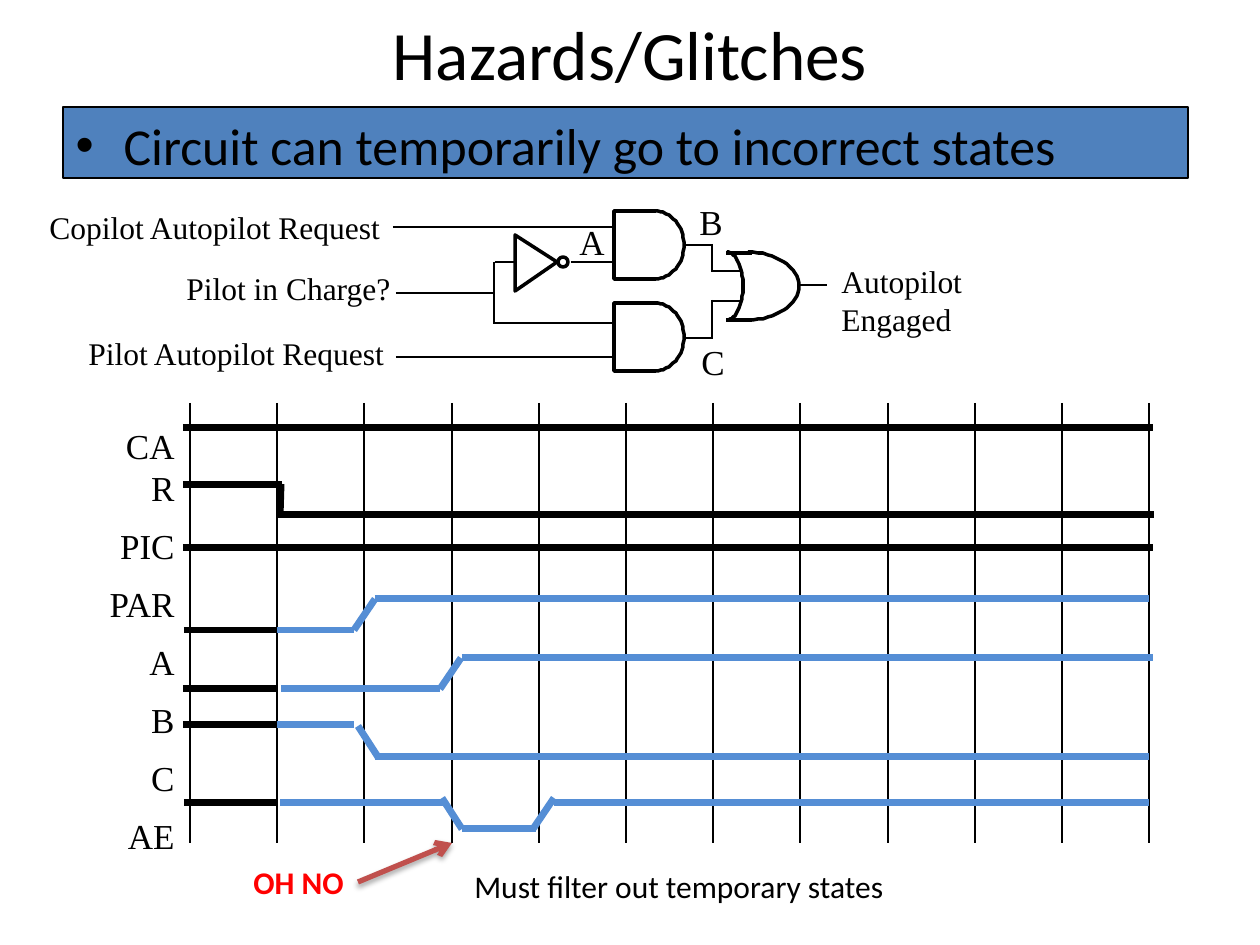
from math import cos, pi, sin

from lxml.etree import SubElement
from pptx import Presentation
from pptx.dml.color import RGBColor
from pptx.enum.shapes import MSO_CONNECTOR as Conn, MSO_SHAPE as Geo
from pptx.enum.text import MSO_ANCHOR as Anchor, MSO_AUTO_SIZE as Auto, PP_ALIGN as Align
from pptx.oxml.ns import qn
from pptx.util import Emu, Pt

SCALE = 914400 / 126
BLACK, BLUE, RED = "000000", "558ED5", "C0504D"
SERIF, SANS = "Times New Roman", "Calibri"


def px(n):
    return Emu(round(n * SCALE))


def hue(code):
    return RGBColor.from_string(code)


def put(item, vals):
    for key, val in vals.items():
        setattr(item, key, val)


def style(para, size, face, color=BLACK, bold=False):
    put(para.font, {"size": Pt(size), "name": face, "bold": bold})
    para.font.color.rgb = hue(color)


def edge(shape, width, color=BLACK):
    shape.line.width = Pt(width)
    shape.line.color.rgb = hue(color)


def line(slide, x1, y1, x2, y2, width, color=BLACK):
    wire = slide.shapes.add_connector(Conn.STRAIGHT, px(x1), px(y1), px(x2), px(y2))
    edge(wire, width, color)
    SubElement(wire._element.spPr, qn("a:effectLst"))
    return wire


def hollow(shape):
    shape.shadow.inherit = False
    shape.fill.background()
    edge(shape, 2)


def path(slide, pts, shut=False):
    draw = slide.shapes.build_freeform(*pts[0], scale=SCALE)
    draw.add_line_segments(pts[1:], close=shut)
    hollow(draw.convert_to_shape())


def bow(slide, x, y, rx, ry):
    """Right half of an ellipse, as an upper and a lower quarter."""
    for sign in (-1, 1):
        turns = [pi / 2 * i / 16 for i in range(17)]
        path(slide, [(x + rx * cos(t), y + sign * ry * sin(t)) for t in turns])


def text(slide, words, x, y, w, h, size, face=SERIF, **look):
    frame = slide.shapes.add_textbox(px(x), px(y), px(w), px(h)).text_frame
    put(frame, {"word_wrap": False, "text": words})
    for para in frame.paragraphs:
        style(para, size, face, **look)
    return frame


def holder(shape, words, box, size, anchor):
    put(shape, dict(zip(("left", "top", "width", "height"), map(px, box))))
    frame = shape.text_frame
    put(frame, {"text": words, "auto_size": Auto.NONE, "vertical_anchor": anchor})
    return frame.paragraphs[0]


def heads(slide):
    title, body = slide.shapes.title, slide.placeholders[1]
    para = holder(title, "Hazards/Glitches", (63, 0, 1134, 101), 39.6, Anchor.BOTTOM)
    para.alignment = Align.CENTER
    style(para, 39.6, SANS)

    para = holder(body, "Circuit can temporarily go to incorrect states",
                  (63, 107, 1125, 71), 29.6, Anchor.TOP)
    props = para._p.get_or_add_pPr()
    props.set("marL", str(px(48)))
    props.set("indent", str(px(-48)))
    SubElement(props, qn("a:buChar")).set("char", "•")
    para.space_before = Pt(0)
    style(para, 29.6, SANS)
    body.fill.solid()
    body.fill.fore_color.rgb = hue("4F81BD")
    edge(body, 1.5)


def gates(slide):
    # AND gates
    for mid in (245, 337):
        bow(slide, 655, mid, 29, 34)
        path(slide, [(656, mid - 34), (614, mid - 34), (614, mid + 34), (656, mid + 34)])
    # OR gate
    bow(slide, 748, 286, 51, 34)
    bow(slide, 727, 286, 16, 34)
    for y in (253, 320):
        line(slide, 752, y, 726, y, 2)
    # Inverter
    path(slide, [(557, 262), (515, 235), (515, 291)], True)
    hollow(slide.shapes.add_shape(Geo.OVAL, px(558), px(257), px(10), px(10)))
    # Wires
    for ends in ((685, 245, 713, 245), (800, 285, 827, 285), (713, 271, 741, 271),
                 (712, 301, 740, 301), (571, 262, 614, 262), (495, 262, 515, 262),
                 (683, 338, 712, 338), (396, 357, 613, 357), (494, 323, 615, 323),
                 (494, 262, 494, 324), (396, 293, 495, 293), (393, 227, 614, 227),
                 (712, 244, 712, 272), (712, 300, 712, 339)):
        line(slide, *ends, 1)
    # Signal names
    for words, x, y, w in (("Copilot Autopilot Request", 37, 202, 358),
                           ("Pilot Autopilot Request", 76, 328, 323),
                           ("Pilot in Charge?", 174, 263, 229),
                           ("Autopilot Engaged", 829, 256, 263)):
        text(slide, words, x, y, w, 50, 18)
    for words, x, y in (("A", 567, 214), ("B", 687, 194), ("C", 689, 334)):
        text(slide, words, x, y, 49, 54, 20)


def waves(slide):
    # Time grid
    for i in range(12):
        x = round(190 + 87.2 * i)
        line(slide, x, 403, x, 843, 1.5)
    # Row names
    frame = text(slide, "\n".join(("CAR", "PIC", "PAR", "A", "B", "C", "AE")),
                 91, 418, 96, 414, 20)
    frame.word_wrap = True
    for i, para in enumerate(frame.paragraphs):
        put(para, {"alignment": Align.RIGHT, "space_after": Pt(4.6),
                   "space_before": Pt(4.6 if i else 0)})
    # Levels: start, end, height
    levels = {
        BLACK: ((183, 1153, 428), (183, 282, 485), (183, 1153, 548), (184, 280, 630),
                (183, 277, 689), (183, 282, 725), (277, 1154, 515), (184, 277, 803)),
        BLUE: ((277, 354, 630), (375, 1149, 599), (281, 440, 689), (462, 1153, 658),
               (280, 445, 803), (277, 354, 725), (375, 1149, 757), (462, 536, 829),
               (554, 1149, 803)),
    }
    for color, rows in levels.items():
        for x1, x2, y in rows:
            line(slide, x1, y, x2, y, 4, color)
    # Changes of level
    line(slide, 281, 484, 280, 517, 4)
    for ends in ((375, 599, 354, 630), (461, 658, 440, 689), (378, 757, 358, 726),
                 (462, 829, 442, 798), (554, 798, 533, 829)):
        line(slide, *ends, 4, BLUE)


def notes(slide):
    text(slide, "Must filter out temporary states", 462, 861, 438, 50, 18, SANS)
    text(slide, "OH NO", 241, 857, 117, 50, 18, SANS, color="FF0000", bold=True)
    arrow = line(slide, 358, 882, 452, 843, 3, RED)
    SubElement(arrow.line._get_or_add_ln(), qn("a:tailEnd")).set("type", "arrow")
    # Soft shadow under the arrow
    glow = SubElement(arrow._element.spPr.find(qn("a:effectLst")), qn("a:outerShdw"))
    for key, val in {"blurRad": Pt(3.1), "dist": Pt(1.8), "dir": 5400000,
                     "rotWithShape": 0}.items():
        glow.set(key, str(val))
    tone = SubElement(glow, qn("a:srgbClr"))
    tone.set("val", BLACK)
    SubElement(tone, qn("a:alpha")).set("val", "35000")


def main():
    deck = Presentation()
    put(deck, {"slide_width": px(1260), "slide_height": px(945)})
    slide = deck.slides.add_slide(deck.slide_layouts[1])
    heads(slide)
    gates(slide)
    waves(slide)
    notes(slide)
    deck.save("out.pptx")


if __name__ == "__main__":
    main()
